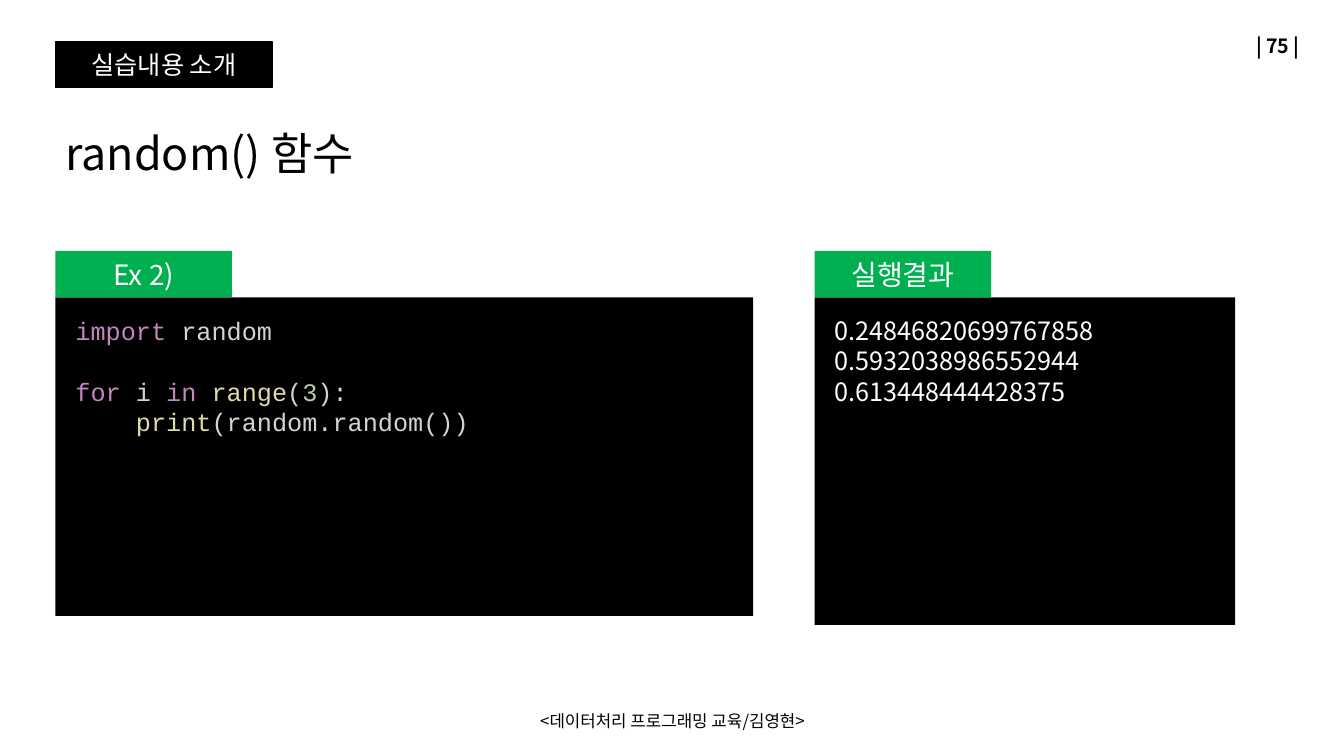
from lxml import etree
from pptx import Presentation
from pptx.dml.color import RGBColor
from pptx.enum import shapes, text
from pptx.oxml import ns
from pptx.util import Inches, Pt

SANS = "Noto Sans CJK KR"
MONO = "Courier New"
COLORS = {
    "black": "000000",
    "white": "FFFFFF",
    "green": "00B050",
    "key": "C586C0",
    "plain": "D4D4D4",
    "call": "DCDCAA",
    "num": "B5CEA8",
}
ALIGN = text.PP_ALIGN
ANCHOR = text.MSO_ANCHOR

# Each line of code is a list of (words, color) parts.
CODE = [
    [("import", "key"), (" random", "plain")],
    [("\n", "plain"), ("for ", "key"), ("i ", "plain"), ("in ", "key"),
     ("range", "call"), ("(", "plain"), ("3", "num"), ("):", "plain")],
    [("    ", "plain"), ("print", "call"), ("(random.random())", "plain")],
]
RESULT = ["0.24846820699767858", "0.5932038986552944", "0.613448444428375"]


def rgb(name):
    return RGBColor.from_string(COLORS[name])


def style(para, size, face=SANS, align=ALIGN.LEFT):
    """Set the size and the Latin and East Asian face of a paragraph."""
    para.alignment = align
    font = para.font
    font.size = Pt(size)
    font.name = face
    etree.SubElement(font._rPr, ns.qn("a:ea")).set("typeface", face)
    return font


def write(frame, lines, size, color, align=ALIGN.LEFT, anchor=ANCHOR.TOP, bold=False):
    frame.word_wrap = True
    frame.vertical_anchor = anchor
    for i, line in enumerate(lines):
        para = frame.paragraphs[0] if i == 0 else frame.add_paragraph()
        font = style(para, size, align=align)
        font.color.rgb = rgb(color)
        font.bold = bold
        para.add_run().text = line


def add_box(slide, x, y, w, h):
    box = slide.shapes.add_textbox(Inches(x), Inches(y), Inches(w), Inches(h))
    box.text_frame.word_wrap = True
    return box.text_frame


def add_rect(slide, x, y, w, h, fill):
    rect = slide.shapes.add_shape(
        shapes.MSO_SHAPE.RECTANGLE, Inches(x), Inches(y), Inches(w), Inches(h))
    rect.shadow.inherit = False
    rect.fill.solid()
    rect.fill.fore_color.rgb = rgb(fill)
    rect.line.fill.background()
    return rect


def add_head(slide, x, y, w):
    """Place the section badge with the title below it."""
    badge = add_rect(slide, x, y, 2.15, 0.46, "black")
    badge.line.color.rgb = rgb("black")
    badge.line.width = Pt(1)
    write(badge.text_frame, ["실습내용 소개"], 18, "white", ALIGN.CENTER, ANCHOR.MIDDLE)
    title = add_box(slide, x, y + 0.71, w, 0.71)
    write(title, ["random() 함수"], 32, "black", anchor=ANCHOR.BOTTOM)


def add_panel(slide, x, y, w, h, label):
    """Place a black panel under a green tab; return its text frame."""
    tab = 0.46
    add_rect(slide, x, y + tab, w, h - tab, "black")
    frame = add_box(slide, x + 0.1, y + tab + 0.13, w - 0.2, 1.31)
    head = add_rect(slide, x, y, 1.75, tab, "green")
    write(head.text_frame, [label], 20, "white", ALIGN.CENTER, ANCHOR.MIDDLE)
    return frame


def write_code(frame, lines):
    for i, line in enumerate(lines):
        para = frame.paragraphs[0] if i == 0 else frame.add_paragraph()
        style(para, 18, MONO)
        for words, color in line:
            if words == "\n":
                para.add_line_break()
                continue
            run = para.add_run()
            run.text = words
            run.font.color.rgb = rgb(color)


def add_marks(slide):
    """Place the page number and the footer."""
    page = add_box(slide, 9.99, 0.25, 3, 0.4)
    write(page, ["| 75 |"], 14, "black", ALIGN.RIGHT, ANCHOR.MIDDLE, bold=True)
    foot = add_box(slide, 4.42, 6.95, 4.5, 0.4)
    write(foot, ["<데이터처리 프로그래밍 교육/김영현>"], 12, "black",
          ALIGN.CENTER, ANCHOR.MIDDLE)


def main():
    deck = Presentation()
    deck.slide_width = Inches(13.33)
    deck.slide_height = Inches(7.5)
    slide = deck.slides.add_slide(deck.slide_layouts[6])
    add_marks(slide)
    add_head(slide, 0.55, 0.41, 9.73)
    write_code(add_panel(slide, 0.55, 2.49, 6.92, 3.62, "Ex 2)"), CODE)
    write(add_panel(slide, 8.08, 2.49, 4.17, 3.71, "실행결과"), RESULT, 18, "white")
    deck.save("out.pptx")


if __name__ == "__main__":
    main()
